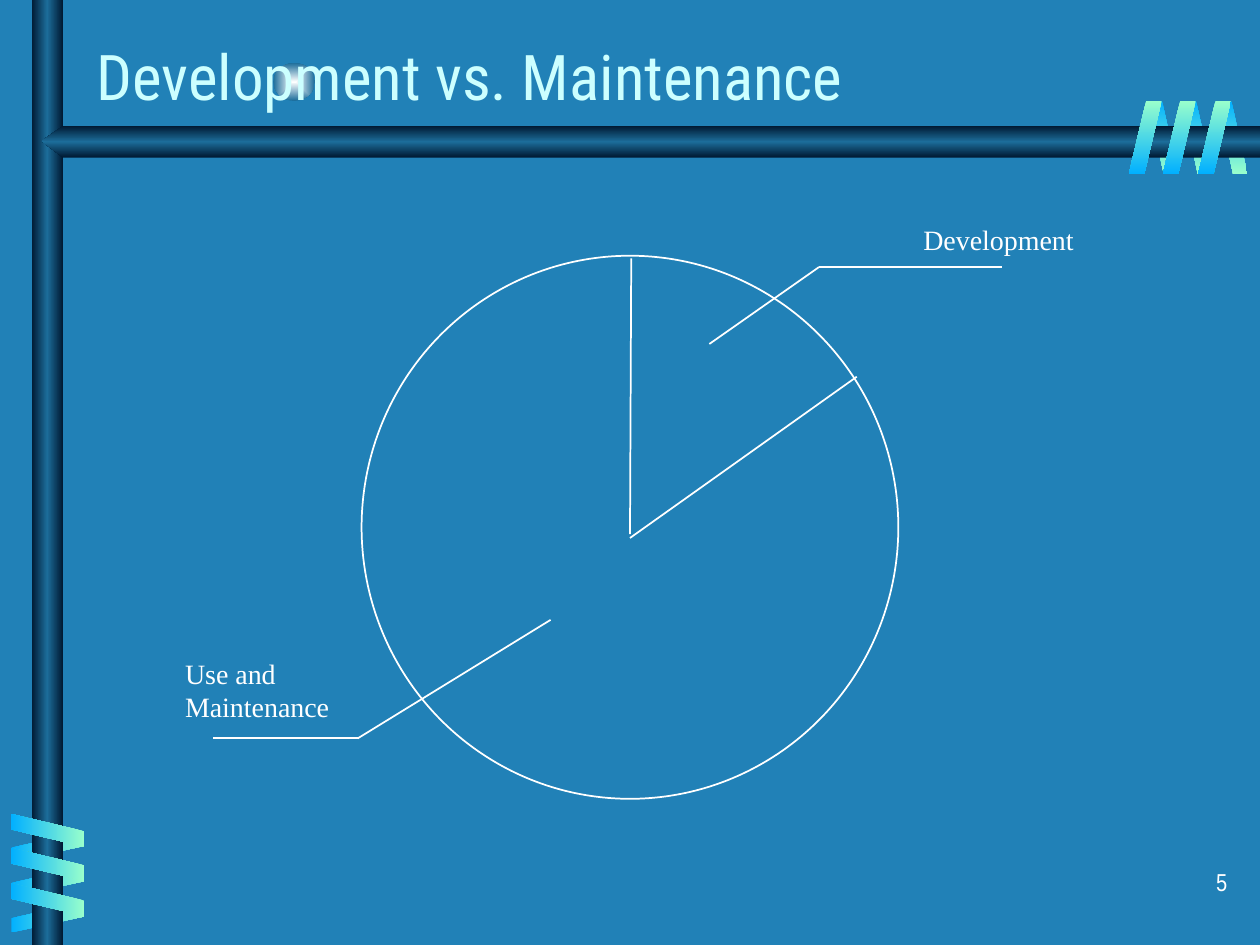
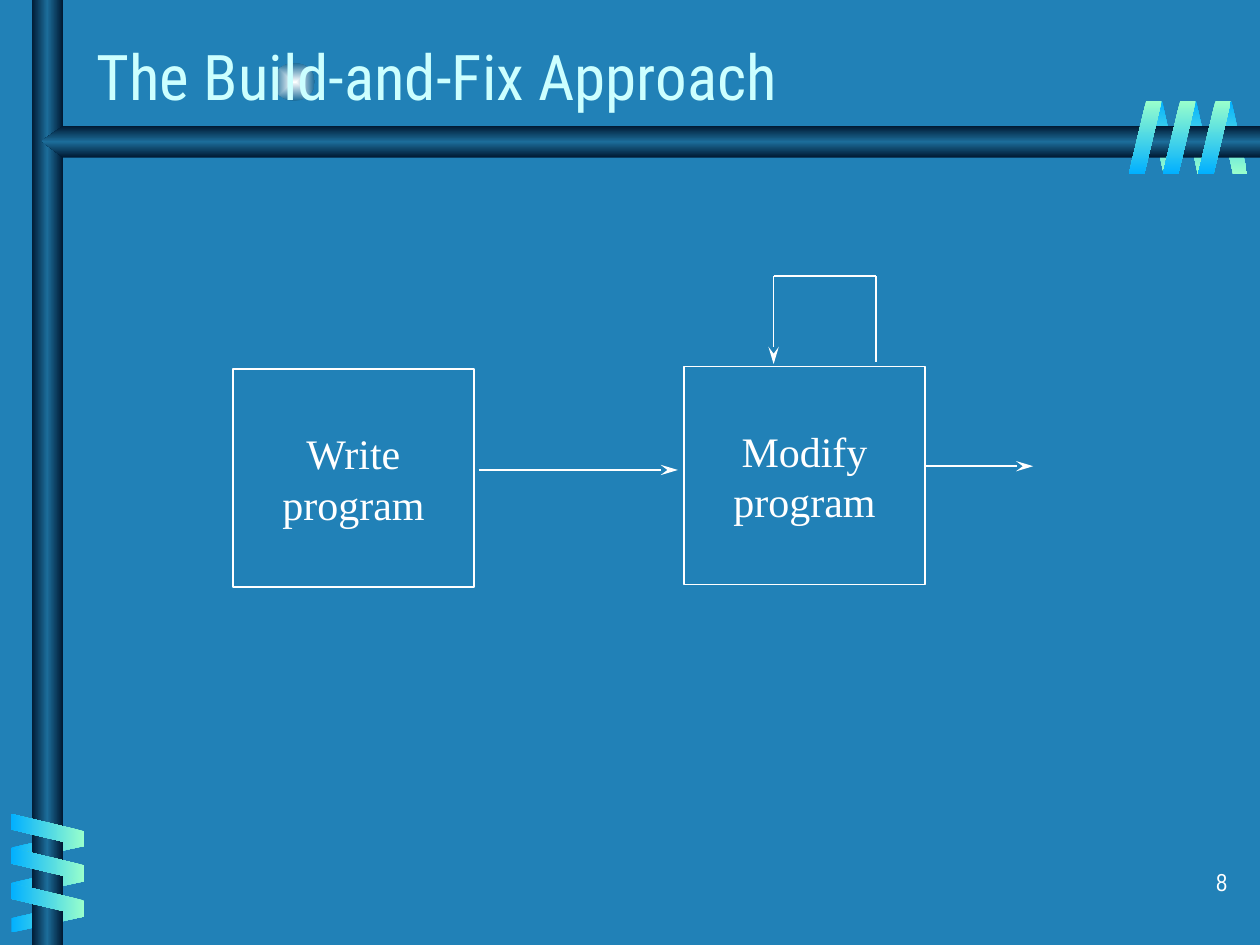
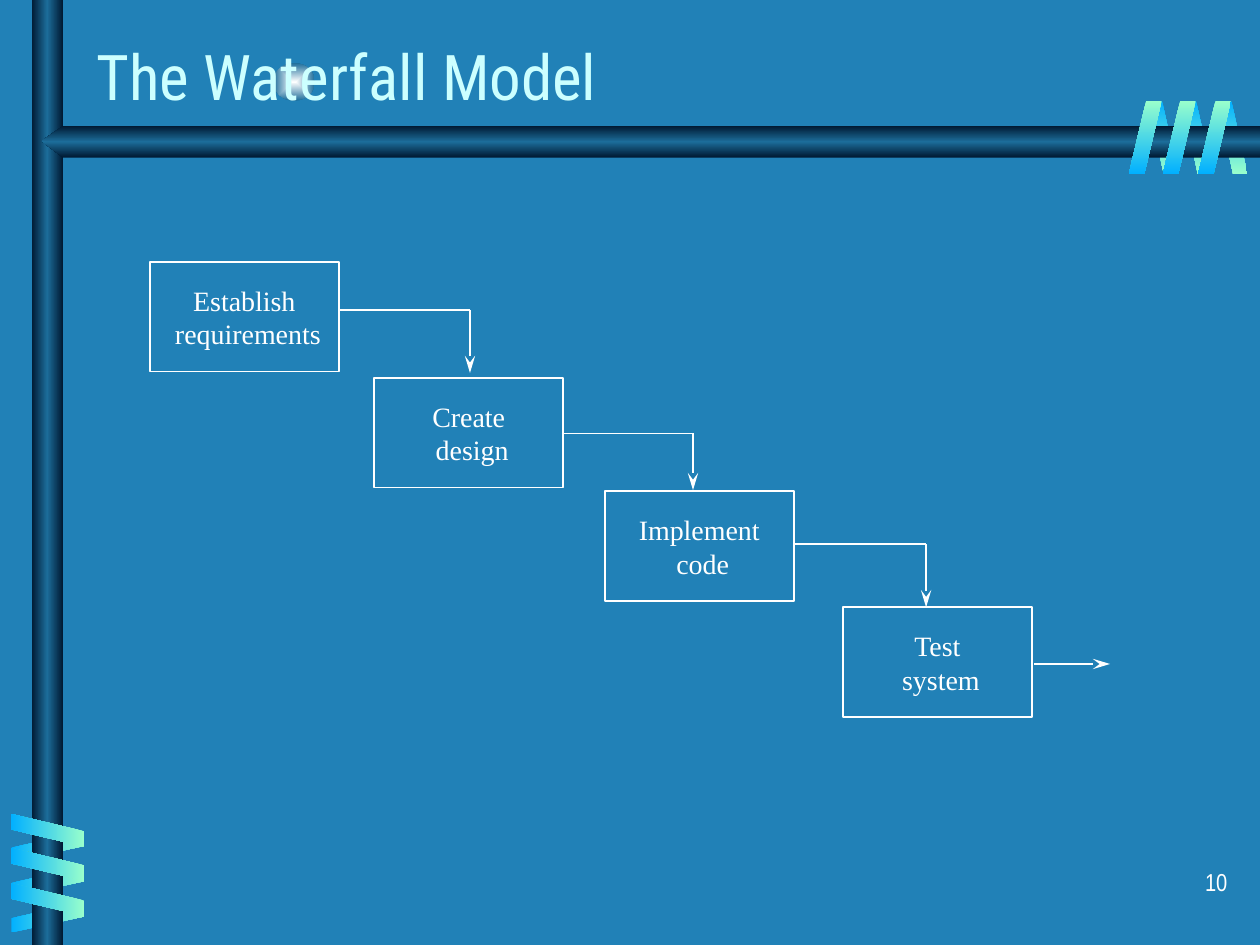
from dataclasses import dataclass
from itertools import pairwise

from lxml import etree
from pptx import Presentation
from pptx import util as u
from pptx.dml.color import RGBColor
from pptx.enum import shapes, text
from pptx.oxml import ns

# Shared style: lengths are px, 100 to the inch
PX = 9144
WIDTH, HEIGHT = 1000, 750
BACKGROUND, WHITE, TITLE = "2181B7", "FFFFFF", "CCFFFF"
NAVY, STEEL, GLOW = "001932", "1C6D9A", "FEFFFF"
MINT, SKY = "99FFCC", "01B0FF"
TITLE_FONT, BODY_FONT, NUMBER_FONT = "Roboto Condensed", "Times New Roman", "Arial Narrow"
BAR = (NAVY, STEEL, NAVY)
BLANK_LAYOUT = 6

Point = tuple[int, int]


@dataclass(frozen=True)
class Style:
    font: str
    size: int
    color: str = WHITE
    align: text.PP_ALIGN = text.PP_ALIGN.LEFT
    anchor: text.MSO_ANCHOR = text.MSO_ANCHOR.TOP
    wrap: bool = False
    space_before: float = 0


@dataclass(frozen=True)
class Area:
    left: int
    top: int
    width: int
    height: int

    def emu(self) -> list[int]:
        return [px(n) for n in (self.left, self.top, self.width, self.height)]


@dataclass(frozen=True)
class Ribbons:
    """Three slanted strips spread evenly from the first area over a span."""
    first: Area
    span: Point
    rotation: int
    flipped: bool
    colors: tuple[str, ...]
    angle: int


@dataclass(frozen=True)
class Step:
    """A box of the waterfall and the points of the arrow leaving it."""
    label: str
    corner: Point
    arrow: list[Point]


TITLE_STYLE = Style(TITLE_FONT, 36, TITLE, anchor=text.MSO_ANCHOR.MIDDLE, wrap=True)
LABEL_STYLE = Style(BODY_FONT, 16)
NUMBER_STYLE = Style(NUMBER_FONT, 14, align=text.PP_ALIGN.RIGHT, wrap=True, space_before=8.8)

BACK_RIBBONS = [
    Ribbons(Area(911, 80, 24, 58), (55, 0), 180, True, (SKY, MINT), 90),
    Ribbons(Area(26, 643, 24, 58), (0, 56), 90, True, (SKY, MINT), 180),
]
FRONT_RIBBONS = [
    Ribbons(Area(25, 630, 26, 58), (0, 55), 270, False, (MINT, SKY), 180),
    Ribbons(Area(896, 80, 26, 58), (55, 0), 0, False, (MINT, SKY), 90),
]


# Helpers
def px(length: int) -> int:
    return length * PX


def rgb(color: str) -> RGBColor:
    return RGBColor.from_string(color)


def box_style(size: int) -> Style:
    return Style(BODY_FONT, size, align=text.PP_ALIGN.CENTER, anchor=text.MSO_ANCHOR.MIDDLE)


def fill_gradient(shape, colors: tuple[str, ...], angle: int | None = None) -> None:
    """Spread the colours along an angle, or out from the centre without one."""
    shape.shadow.inherit = False
    shape.line.fill.background()
    shape.fill.gradient()
    gradient = shape._element.spPr.find(ns.qn("a:gradFill"))
    gradient.set("rotWithShape", "0")
    for child in list(gradient):
        gradient.remove(child)
    stops = etree.SubElement(gradient, ns.qn("a:gsLst"))
    for index, color in enumerate(colors):
        position = 100000 * index // (len(colors) - 1)
        stop = etree.SubElement(stops, ns.qn("a:gs"), pos=str(position))
        etree.SubElement(stop, ns.qn("a:srgbClr"), val=color)
    if angle is None:
        centre = etree.SubElement(gradient, ns.qn("a:path"), path="rect")
        sides = dict.fromkeys("ltrb", "50000")
        etree.SubElement(centre, ns.qn("a:fillToRect"), sides)
    else:
        etree.SubElement(gradient, ns.qn("a:lin"), ang=str(angle * 60000), scaled="0")


def write(shape, words: str, style: Style) -> None:
    frame = shape.text_frame
    frame.text = words
    frame.word_wrap = style.wrap
    frame.vertical_anchor = style.anchor
    for para in frame.paragraphs:
        para.alignment = style.align
        para.space_before = u.Pt(style.space_before)
        for span in para.runs:
            span.font.name = style.font
            span.font.size = u.Pt(style.size)
            span.font.color.rgb = rgb(style.color)


def add_label(page, words: str, area: Area, style: Style) -> None:
    write(page.shapes.add_textbox(*area.emu()), words, style)


def add_outline(page, kind: shapes.MSO_SHAPE, area: Area):
    shape = page.shapes.add_shape(kind, *area.emu())
    shape.shadow.inherit = False
    shape.fill.background()
    shape.line.color.rgb = rgb(WHITE)
    shape.line.width = u.Pt(1)
    return shape


def add_box(page, words: str, area: Area, size: int) -> None:
    write(add_outline(page, shapes.MSO_SHAPE.RECTANGLE, area), words, box_style(size))


def add_lines(page, points: list[Point], arrow: bool = False) -> None:
    """Join the points with straight lines, the last with an arrowhead if asked."""
    for start, end in pairwise(points):
        line = page.shapes.add_connector(
            shapes.MSO_CONNECTOR.STRAIGHT, *[px(n) for n in (*start, *end)])
        line.line.color.rgb = rgb(WHITE)
        line.line.width = u.Pt(1)
        etree.SubElement(line._element.spPr, ns.qn("a:effectLst"))
    if arrow:
        etree.SubElement(line.line._get_or_add_ln(), ns.qn("a:tailEnd"),
                         type="stealth", w="med", len="lg")


# Frame shared by all pages
def add_ribbons(page, ribbons: Ribbons) -> None:
    first, (across, down) = ribbons.first, ribbons.span
    for index in range(3):
        area = Area(first.left + across * index // 2, first.top + down * index // 2,
                    first.width, first.height)
        strip = page.shapes.add_shape(shapes.MSO_SHAPE.PARALLELOGRAM, *area.emu())
        strip.adjustments[0] = 0.53
        strip.rotation = ribbons.rotation
        if ribbons.flipped:
            strip._element.spPr.xfrm.set("flipH", "1")
        fill_gradient(strip, ribbons.colors, ribbons.angle)


def add_page(deck, title: str, number: int):
    page = deck.slides.add_slide(deck.slide_layouts[BLANK_LAYOUT])
    glow = page.shapes.add_shape(shapes.MSO_SHAPE.OVAL, *Area(217, 50, 33, 30).emu())
    fill_gradient(glow, (GLOW, STEEL))
    for ribbons in BACK_RIBBONS:
        add_ribbons(page, ribbons)

    post = page.shapes.add_shape(shapes.MSO_SHAPE.RECTANGLE, *Area(25, 0, 25, HEIGHT).emu())
    fill_gradient(post, BAR, 180)
    beam = page.shapes.build_freeform(WIDTH, 100, scale=PX)
    beam.add_line_segments([(50, 100), (33, 112), (50, 125), (WIDTH, 125)])
    fill_gradient(beam.convert_to_shape(), BAR, 90)

    for ribbons in FRONT_RIBBONS:
        add_ribbons(page, ribbons)
    add_label(page, title, Area(67, 22, 830, 75), TITLE_STYLE)
    add_label(page, str(number), Area(776, 683, 208, 50), NUMBER_STYLE)
    return page


# Pages
def add_maintenance(deck) -> None:
    page = add_page(deck, "Development vs. Maintenance", 5)
    add_outline(page, shapes.MSO_SHAPE.OVAL, Area(287, 203, 426, 431))
    add_lines(page, [(500, 424), (501, 205)])
    add_lines(page, [(500, 427), (680, 299)])
    add_lines(page, [(437, 492), (284, 586), (169, 586)])
    add_lines(page, [(563, 273), (650, 212), (795, 212)])
    add_label(page, "Use and\nMaintenance", Area(137, 516, 135, 63), LABEL_STYLE)
    add_label(page, "Development", Area(723, 172, 140, 37), LABEL_STYLE)


def add_build_and_fix(deck) -> None:
    page = add_page(deck, "The Build-and-Fix Approach", 8)
    add_box(page, "Write\nprogram", Area(185, 293, 191, 173), 24)
    add_box(page, "Modify\nprogram", Area(543, 291, 191, 173), 24)
    add_lines(page, [(380, 373), (538, 373)], arrow=True)
    add_lines(page, [(734, 370), (820, 370)], arrow=True)
    add_lines(page, [(695, 287), (695, 219), (614, 219), (614, 289)], arrow=True)


def add_waterfall(deck) -> None:
    page = add_page(deck, "The Waterfall Model", 10)
    steps = [
        Step("Establish\n requirements", (119, 208), [(269, 246), (373, 246), (373, 296)]),
        Step("Create\n design", (297, 300), [(446, 344), (550, 344), (550, 389)]),
        Step("Implement\n code", (480, 390), [(631, 432), (735, 432), (735, 482)]),
        Step("Test\n system", (669, 482), [(821, 527), (881, 527)]),
    ]
    for step in steps:
        add_box(page, step.label, Area(*step.corner, 150, 87), 16)
        add_lines(page, step.arrow, arrow=True)


def main() -> None:
    deck = Presentation()
    deck.slide_width, deck.slide_height = px(WIDTH), px(HEIGHT)
    backdrop = deck.slide_master.background.fill
    backdrop.solid()
    backdrop.fore_color.rgb = rgb(BACKGROUND)
    add_maintenance(deck)
    add_build_and_fix(deck)
    add_waterfall(deck)
    deck.save("out.pptx")


if __name__ == "__main__":
    main()
